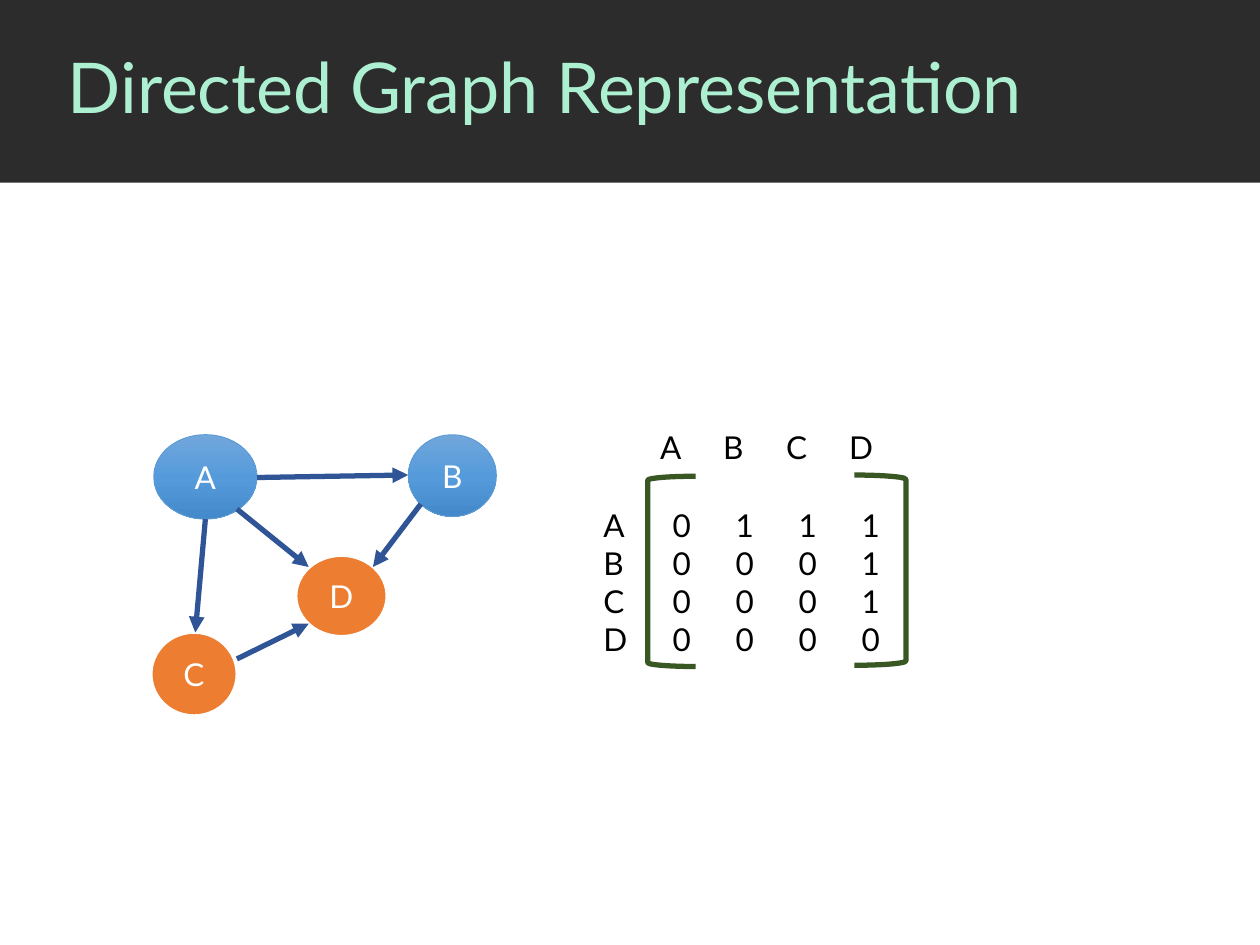
from copy import deepcopy

from pptx import Presentation
from pptx.dml.color import RGBColor
from pptx.enum.shapes import MSO_CONNECTOR as Link, MSO_SHAPE as Form
from pptx.enum.text import MSO_ANCHOR as Anchor, PP_ALIGN as Align
from pptx.oxml.ns import qn
from pptx.util import Inches, Pt
from lxml.etree import SubElement as Sub

DARK, MINT, WHITE, BLACK = "2C2C2C", "ADF0D1", "FFFFFF", "000000"
ORANGE, BLUE, NAVY, GREEN = "ED7D31", "5B9BD5", "2F5597", "385723"
BLUES = ["71A6DB", "559BDB", "448ACA"]


def color(code):
    return RGBColor.from_string(code)


class Deck:
    font = "Lato"
    size = 18

    def __init__(self):
        self.file = Presentation()
        self.file.slide_width, self.file.slide_height = Inches(10), Inches(7.5)
        self.slide = self.file.slides.add_slide(self.file.slide_layouts[6])

    def shape(self, form, at, fill=None, line=None, width=1):
        item = self.slide.shapes.add_shape(form, *map(Inches, at))
        item.shadow.inherit = False
        if fill is None:
            item.fill.background()
        elif isinstance(fill, list):
            self.blend(item, fill)
        else:
            item.fill.solid()
            item.fill.fore_color.rgb = color(fill)
        if line:
            item.line.color.rgb = color(line)
            item.line.width = Pt(width)
        else:
            item.line.fill.background()
        return item

    def blend(self, item, codes):
        """Fill top to bottom with evenly spaced gradient colours."""
        item.fill.gradient()
        item.fill.gradient_angle = 270
        stops = item._element.spPr.find(qn("a:gradFill")).find(qn("a:gsLst"))
        while len(stops) < len(codes):
            stops.append(deepcopy(stops[0]))
        for i, (stop, code) in enumerate(zip(item.fill.gradient_stops, codes)):
            stop.color.rgb = color(code)
            stop.position = i / (len(codes) - 1)

    def label(self, frame, lines, tint, size=None, align=Align.LEFT, step=0):
        """Add one paragraph per line, with tab stops every step inches."""
        for i, line in enumerate(lines):
            para = frame.paragraphs[0] if i == 0 else frame.add_paragraph()
            para.alignment = align
            if step:
                tabs = Sub(para._p.get_or_add_pPr(), qn("a:tabLst"))
                for n in range(1, line.count("\t") + 1):
                    Sub(tabs, qn("a:tab"), pos=str(Inches(n * step)), algn="l")
            run = para.add_run()
            run.text = line
            run.font.name = self.font
            run.font.size = Pt(size or self.size)
            run.font.color.rgb = color(tint)

    def text(self, at, lines, tint=BLACK, size=None, anchor=Anchor.TOP, step=0):
        frame = self.slide.shapes.add_textbox(*map(Inches, at)).text_frame
        frame.word_wrap = True
        frame.vertical_anchor = anchor
        self.label(frame, lines, tint, size, step=step)
        return frame

    def node(self, name, at, fill, line, width):
        frame = self.shape(Form.OVAL, at, fill, line, width).text_frame
        frame.vertical_anchor = Anchor.MIDDLE
        self.label(frame, [name], WHITE, align=Align.CENTER)

    def arrow(self, start, end):
        ends = map(Inches, (*start, *end))
        item = self.slide.shapes.add_connector(Link.STRAIGHT, *ends)
        item.line.color.rgb = color(NAVY)
        item.line.width = Pt(3)
        props = item._element.spPr
        Sub(props.find(qn("a:ln")), qn("a:tailEnd"), type="triangle")
        Sub(props, qn("a:effectLst"))


def main():
    deck = Deck()
    deck.shape(Form.RECTANGLE, (0, 0, 10, 1.45), DARK)
    title = deck.text((0.44, 0, 9.56, 1.44), ["Directed Graph Representation"],
                      MINT, 40, Anchor.MIDDLE)
    title.paragraphs[0].line_spacing = 0.9

    warm, cool = (ORANGE, WHITE, 1.5), (BLUES, BLUE, 0.5)
    for name, at, look in [
        ("D", (2.35, 4.41, 0.72, 0.64), warm),
        ("B", (3.24, 3.45, 0.7, 0.65), cool),
        ("C", (1.2, 5.02, 0.68, 0.66), warm),
        ("A", (1.22, 3.45, 0.82, 0.67), cool),
    ]:
        deck.node(name, at, *look)

    deck.shape(Form.LEFT_BRACKET, (5.14, 3.78, 0.38, 1.51), None, GREEN, 3)
    deck.shape(Form.RIGHT_BRACKET, (6.78, 3.77, 0.41, 1.51), None, GREEN, 3)
    names = "ABCD"
    rows = ["0111", "0001", "0001", "0000"]
    deck.text((5.24, 3.97, 1.93, 1.31), ["\t".join(r) for r in rows], step=0.5)
    deck.text((5.14, 3.35, 2.08, 0.4), ["\t".join(names)], step=0.5)
    deck.text((4.69, 3.97, 0.43, 1.31), names)

    for start, end in [
        ((2.04, 3.79), (3.24, 3.77)),  # A to B
        ((3.34, 4), (2.96, 4.5)),  # B to D
        ((1.88, 5.23), (2.45, 4.95)),  # C to D
        ((1.88, 4.04), (2.45, 4.5)),  # A to D
        ((1.63, 4.12), (1.55, 5.02)),  # A to C
    ]:
        deck.arrow(start, end)

    deck.file.save("out.pptx")


if __name__ == "__main__":
    main()
